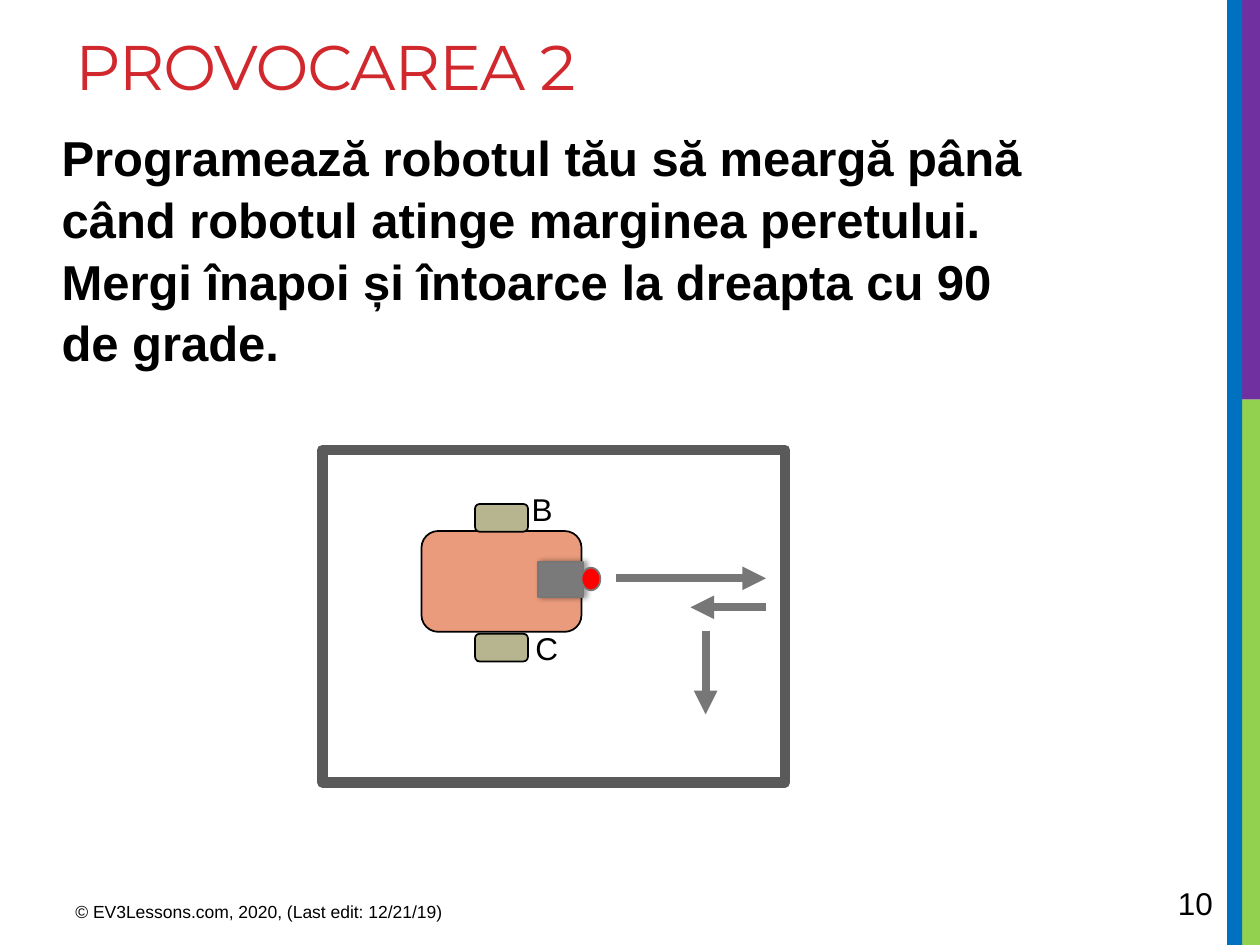
from typing import NamedTuple, Optional

from pptx import Presentation
from pptx.dml.color import RGBColor
from pptx.enum.shapes import MSO_CONNECTOR, MSO_SHAPE as Preset
from pptx.oxml import parse_xml
from pptx.oxml.ns import nsdecls
from pptx.util import Inches, Pt

BLUE = RGBColor(0x00, 0x70, 0xC0)
GREEN = RGBColor(0x92, 0xD0, 0x50)
PURPLE = RGBColor(0x70, 0x30, 0xA0)
CRIMSON = RGBColor(0xD1, 0x28, 0x2E)
BLACK = RGBColor(0x00, 0x00, 0x00)
WALL_GRAY = RGBColor(0x5A, 0x5A, 0x5A)
ARROW_GRAY = RGBColor(0x77, 0x77, 0x77)
SENSOR_GRAY = RGBColor(0x7A, 0x7A, 0x7A)
SALMON = RGBColor(0xEA, 0x9B, 0x7C)
KHAKI = RGBColor(0xB6, 0xB5, 0x90)
RED = RGBColor(0xFF, 0x00, 0x00)


class Part(NamedTuple):
    left: float
    top: float
    width: float
    height: float
    fill: Optional[RGBColor]
    line: Optional[RGBColor] = None
    weight: float = 1
    preset: Preset = Preset.RECTANGLE
    rotation: float = 0


class Label(NamedTuple):
    text: str
    left: float
    top: float
    width: float
    height: float
    size: float
    color: RGBColor = BLACK
    font: str = "Arial"
    bold: bool = False


class Move(NamedTuple):
    x1: float
    y1: float
    x2: float
    y2: float


BANDS = [
    Part(9.74, 0, 0.1, 7.5, BLUE),
    Part(9.84, 3.17, 0.16, 4.33, GREEN),
    Part(9.8, 0, 0.2, 3.17, PURPLE),
    Part(9.76, 0, 0.1, 7.5, BLUE),
]
TITLE = Label("PROVOCAREA 2", 0.5, 0.17, 9.02, 1.5, 36, CRIMSON, "Montserrat")
TASK = Label(
    "Programează robotul tău să meargă până când robotul atinge marginea "
    "peretului. Mergi înapoi și întoarce la dreapta cu 90 de grade.",
    0.39, 0.92, 8.11, 5.24, 28, bold=True)
FOOTER = [
    Label("© EV3Lessons.com, 2020, (Last edit: 12/21/19)", 0.5, 7.1, 3.75, 0.31, 10),
    Label("10", 9.25, 6.97, 0.69, 0.4, 18),
]
WALL = Part(2.56, 3.57, 3.67, 2.64, None, WALL_GRAY, 6)
MOVES = [
    Move(4.89, 4.59, 6.08, 4.59),
    Move(5.6, 5.01, 5.6, 5.67),
    Move(6.08, 4.82, 5.48, 4.82),
]
BODY = Part(3.58, 3.98, 0.8, 1.27, SALMON, BLACK, 1, Preset.ROUNDED_RECTANGLE, 90)
WHEELS = [Part(3.87, top, 0.22, 0.42, KHAKI, BLACK, 1, Preset.ROUNDED_RECTANGLE, 90)
          for top in (4.93, 3.9)]
MOTORS = [Label("B", 4.12, 3.84, 0.51, 0.4, 18), Label("C", 4.15, 4.94, 0.51, 0.4, 18)]
SENSOR = Part(4.27, 4.46, 0.36, 0.28, SENSOR_GRAY, ARROW_GRAY)
BUTTON = Part(4.6, 4.52, 0.18, 0.15, RED, ARROW_GRAY, 1, Preset.OVAL, 90)


def draw_part(slide, part: Part):
    shape = slide.shapes.add_shape(
        part.preset, Inches(part.left), Inches(part.top),
        Inches(part.width), Inches(part.height))
    shape.shadow.inherit = False
    shape.rotation = part.rotation
    if part.fill is None:
        shape.fill.background()
    else:
        shape.fill.solid()
        shape.fill.fore_color.rgb = part.fill
    if part.line is None:
        shape.line.fill.background()
    else:
        shape.line.color.rgb = part.line
        shape.line.width = Pt(part.weight)
    return shape


def draw_label(slide, label: Label):
    box = slide.shapes.add_textbox(
        Inches(label.left), Inches(label.top), Inches(label.width), Inches(label.height))
    box.text_frame.word_wrap = True
    paragraph = box.text_frame.paragraphs[0]
    paragraph.text = label.text
    paragraph.font.name = label.font
    paragraph.font.size = Pt(label.size)
    paragraph.font.bold = label.bold
    paragraph.font.color.rgb = label.color
    return box.text_frame


def draw_move(slide, move: Move) -> None:
    arrow = slide.shapes.add_connector(
        MSO_CONNECTOR.STRAIGHT, Inches(move.x1), Inches(move.y1),
        Inches(move.x2), Inches(move.y2))
    arrow.line.color.rgb = ARROW_GRAY
    arrow.line.width = Pt(4.5)
    arrow.line._get_or_add_ln().append(
        parse_xml(f'<a:tailEnd {nsdecls("a")} type="triangle"/>'))
    arrow._element.spPr.append(parse_xml(f'<a:effectLst {nsdecls("a")}/>'))


def add_shadow(shape) -> None:
    effects = shape._element.spPr.find(
        "{http://schemas.openxmlformats.org/drawingml/2006/main}effectLst")
    effects.append(parse_xml(
        f'<a:outerShdw {nsdecls("a")} blurRad="{Pt(3.1)}" dist="{Pt(1.8)}" dir="0">'
        '<a:srgbClr val="000000"><a:alpha val="40000"/></a:srgbClr></a:outerShdw>'))


def main() -> None:
    deck = Presentation()
    deck.slide_width, deck.slide_height = Inches(10), Inches(7.5)
    slide = deck.slides.add_slide(deck.slide_layouts[6])

    # Side bands
    for band in BANDS:
        draw_part(slide, band)

    # Title, task and footer
    title = draw_label(slide, TITLE)
    title.paragraphs[0].runs[0]._r.get_or_add_rPr().set("spc", "-60")
    task = draw_label(slide, TASK)
    task.margin_top = Inches(0.07)
    task.paragraphs[0].line_spacing = 1.05
    task.paragraphs[0].space_after = Pt(6)
    for label in FOOTER:
        draw_label(slide, label)

    # Walled field and the robot's moves
    draw_part(slide, WALL)
    for move in MOVES:
        draw_move(slide, move)

    # Robot with its motors and touch sensor
    for part in [BODY, *WHEELS]:
        draw_part(slide, part)
    for motor in MOTORS:
        draw_label(slide, motor)
    add_shadow(draw_part(slide, SENSOR))
    draw_part(slide, BUTTON)

    deck.save("out.pptx")


if __name__ == "__main__":
    main()
